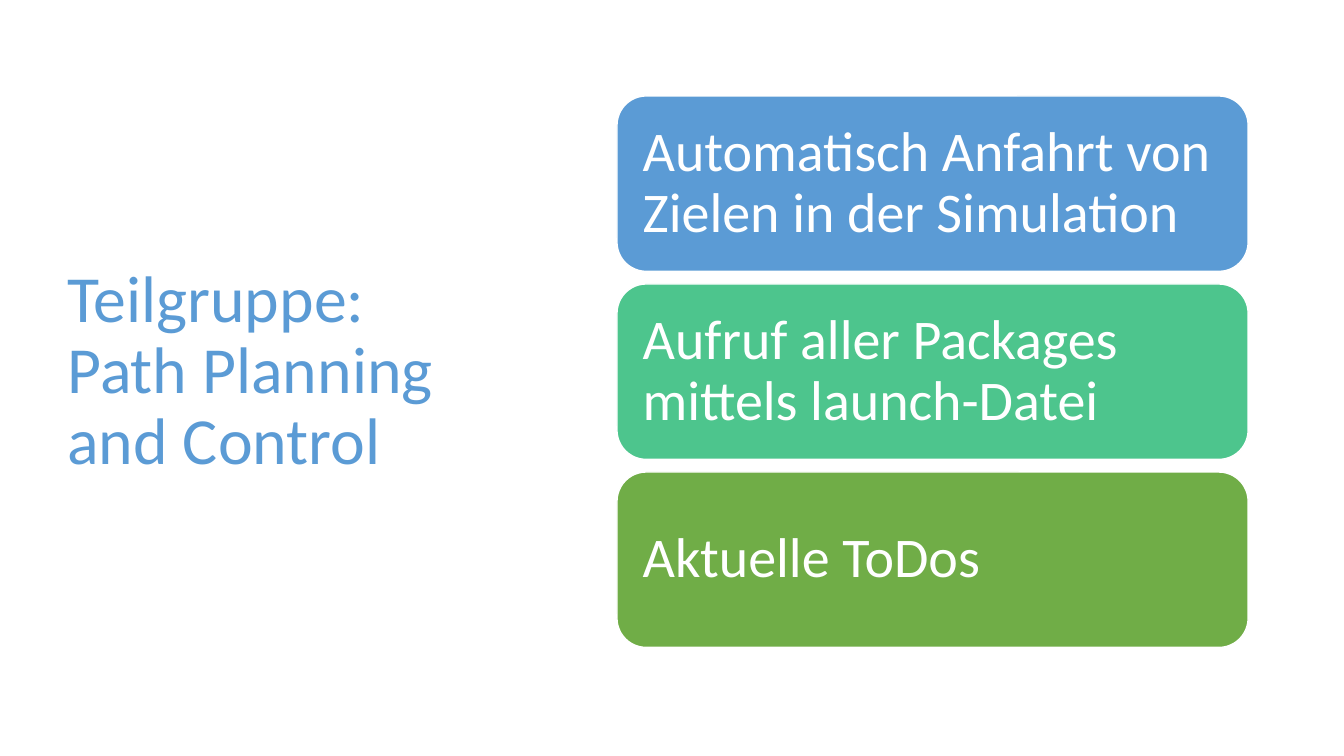
from pptx import Presentation
from pptx.dml.color import RGBColor
from pptx.enum.shapes import MSO_SHAPE as Preset
from pptx.enum.text import MSO_ANCHOR as Anchor, PP_ALIGN as Align
from pptx.util import Inches, Pt


def color(value):
    return RGBColor.from_string(value)


class SlideBuilder:
    font = "Calibri"
    white = "FFFFFF"
    blue = "5B9BD5"

    def __init__(self, presentation):
        self.width = presentation.slide_width
        self.height = presentation.slide_height
        self.slide = presentation.slides.add_slide(presentation.slide_layouts[6])

    def place(self, left, top, width, height):
        return (int(self.width * left / 100), int(self.height * top / 100),
                int(self.width * width / 100), int(self.height * height / 100))

    def set_text(self, shape, text, size, text_color, left_inset, right_inset):
        frame = shape.text_frame
        frame.text = text
        frame.word_wrap = True
        frame.vertical_anchor = Anchor.MIDDLE
        frame.margin_left, frame.margin_right = Inches(left_inset), Inches(right_inset)
        paragraph = frame.paragraphs[0]
        paragraph.alignment = Align.LEFT
        paragraph.line_spacing = 0.9
        font = paragraph.runs[0].font
        font.name, font.size = self.font, Pt(size)
        font.color.rgb = color(text_color)

    def title(self, text, *area):
        shape = self.slide.shapes.add_textbox(*self.place(*area))
        self.set_text(shape, text, 47, self.blue, 0.1, 0.05)

    def card(self, text, fill, *area):
        shape = self.slide.shapes.add_shape(Preset.ROUNDED_RECTANGLE, *self.place(*area))
        shape.shadow.inherit = False
        shape.fill.solid()
        shape.fill.fore_color.rgb = color(fill)
        shape.line.color.rgb = color(self.white)
        shape.line.width = Pt(1)
        self.set_text(shape, text, 40, self.white, 0.17, 0.17)


presentation = Presentation()
presentation.slide_width, presentation.slide_height = Inches(13.33), Inches(7.5)
builder = SlideBuilder(presentation)
builder.title("Teilgruppe: Path Planning and Control", 4.28, 9.07, 28.73, 80.27)

topics = [
    ("Automatisch Anfahrt von Zielen in der Simulation", builder.blue),
    ("Aufruf aller Packages mittels launch-Datei", "4DC58D"),
    ("Aktuelle ToDos", "70AD47"),
]
first_top, card_height, gap = 12.7, 23.2, 1.67
for row, (topic, fill) in enumerate(topics):
    top = first_top + row * (card_height + gap)
    builder.card(topic, fill, 45.91, top, 46.96, card_height)

presentation.save("out.pptx")
